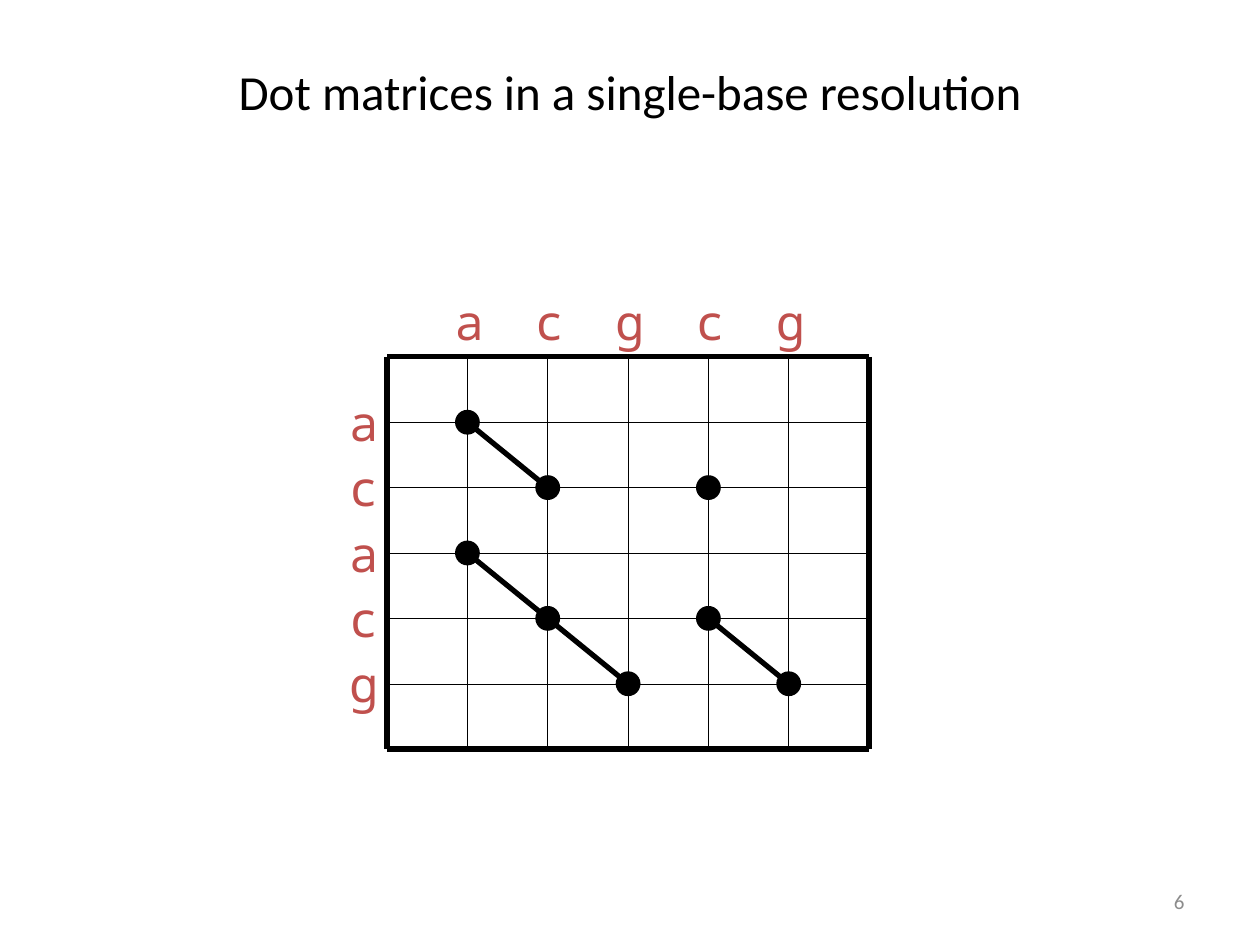
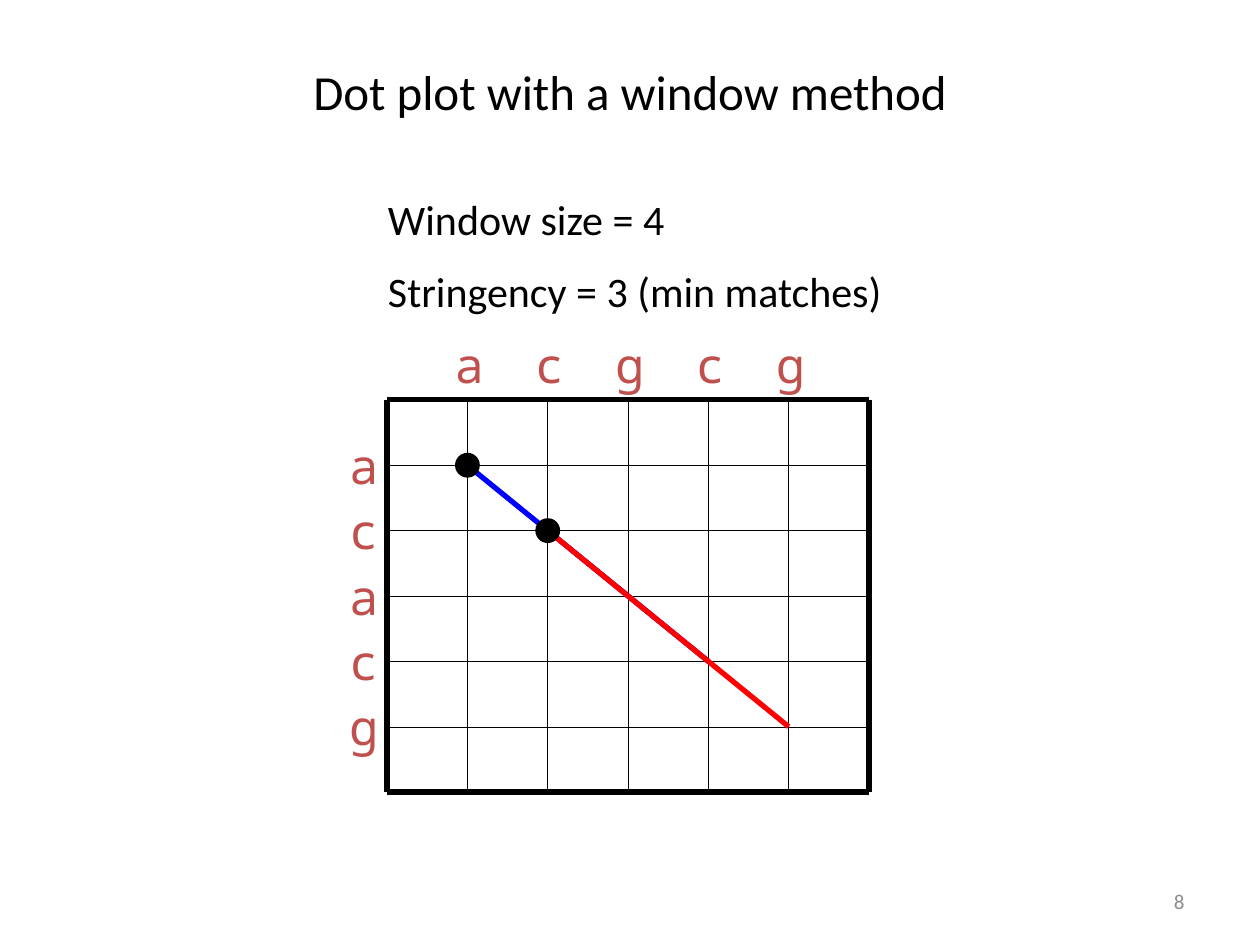
"""Build two slides that compare short DNA sequences in dot matrices."""
from lxml.etree import SubElement
from pptx import Presentation
from pptx.dml.color import RGBColor
from pptx.enum.dml import MSO_LINE
from pptx.enum.shapes import MSO_CONNECTOR, MSO_SHAPE
from pptx.enum.text import MSO_ANCHOR, PP_ALIGN
from pptx.oxml.ns import qn
from pptx.util import Pt

COLORS = {"ink": "000000", "base": "C0504D", "number": "8C8C8C",
          "first": "0000FF", "second": "FF0000"}
TEXT_FONT, BASE_FONT = "Calibri", "Noto Sans Mono"

ACROSS, DOWN = "acgcg", "acacg"
MATCHES = [(column, row)
           for row, down in enumerate(DOWN, 1)
           for column, across in enumerate(ACROSS, 1) if across == down]

SLIDES = [
    {"title": "Dot matrices in a single-base resolution",
     "number": "6", "matrix_top": 203.9, "settings": [],
     "diagonals": [((1, 1), (2, 2), "ink"), ((1, 3), (3, 5), "ink"),
                   ((4, 4), (5, 5), "ink")],
     "dots": MATCHES},
    {"title": "Dot plot with a window method",
     "number": "8", "matrix_top": 228.5,
     "settings": ["Window size = 4", "Stringency = 3 (min matches)"],
     "diagonals": [((1, 1), (4, 4), "first"), ((2, 2), (5, 5), "second")],
     "dots": [(1, 1), (2, 2)]},
]

MATRIX_LEFT, COLUMN_STEP, ROW_STEP = 221.2, 45.9, 37.36
LABEL_WIDTH, LABEL_HEIGHT = 31.7, 41
DOT = 14.2


def rgb(name):
    return RGBColor.from_string(COLORS[name])


def write(shape, *lines, size=28, font=TEXT_FONT, color="ink",
          align=PP_ALIGN.LEFT, anchor=MSO_ANCHOR.TOP, before=0):
    frame = shape.text_frame
    frame.word_wrap = True
    frame.vertical_anchor = anchor
    frame.text = "\n".join(lines)
    for paragraph in frame.paragraphs:
        paragraph.alignment = align
        paragraph.space_before = Pt(before)
        run_font = paragraph.runs[0].font
        run_font.size, run_font.name = Pt(size), font
        run_font.color.rgb = rgb(color)


def add_text(slide, left, top, width, height, *lines, **style):
    box = slide.shapes.add_textbox(Pt(left), Pt(top), Pt(width), Pt(height))
    write(box, *lines, **style)


def add_line(slide, start, end, color="ink", width=3, dash=None):
    line = slide.shapes.add_connector(
        MSO_CONNECTOR.STRAIGHT, *map(Pt, (*start, *end)))
    line.line.color.rgb = rgb(color)
    line.line.width = Pt(width)
    if dash:
        line.line.dash_style = dash
    SubElement(line._element.spPr, qn("a:effectLst"))


def add_dot(slide, center):
    x, y = center
    dot = slide.shapes.add_shape(
        MSO_SHAPE.OVAL, Pt(x - DOT / 2), Pt(y - DOT / 2), Pt(DOT), Pt(DOT))
    dot.shadow.inherit = False
    dot.fill.solid()
    dot.fill.fore_color.rgb = rgb("ink")
    dot.line.fill.background()


def add_matrix(slide, top, diagonals, dots):
    columns, rows = len(ACROSS) + 1, len(DOWN) + 1

    def place(column, row):
        return MATRIX_LEFT + column * COLUMN_STEP, top + row * ROW_STEP

    def rule(index, last):
        if index in (0, last):
            return {"width": 3}
        return {"width": 0.25, "dash": MSO_LINE.ROUND_DOT}

    for row in range(rows + 1):
        add_line(slide, place(0, row), place(columns, row), **rule(row, rows))
    for column in range(columns + 1):
        add_line(slide, place(column, 0), place(column, rows),
                 **rule(column, columns))

    label_spots = [(base, place(column, 0)[0] - 14.4, top - 40.7)
                   for column, base in enumerate(ACROSS, 1)]
    label_spots += [(base, MATRIX_LEFT - 28.8, place(0, row)[1] - 20.6)
                    for row, base in enumerate(DOWN, 1)]
    for base, left, label_top in label_spots:
        add_text(slide, left, label_top, LABEL_WIDTH, LABEL_HEIGHT, base,
                 font=BASE_FONT, color="base")

    for start, end, color in diagonals:
        add_line(slide, place(*start), place(*end), color)
    for dot in dots:
        add_dot(slide, place(*dot))


def add_slide(deck, content):
    slide = deck.slides.add_slide(deck.slide_layouts[5])
    title = slide.shapes.title
    title.left, title.top, title.width, title.height = map(
        Pt, (36, 21.6, 648, 61.2))
    write(title, content["title"], align=PP_ALIGN.CENTER,
          anchor=MSO_ANCHOR.MIDDLE)
    add_text(slide, 516, 500.5, 168, 28.75, content["number"], size=12,
             color="number", align=PP_ALIGN.RIGHT, anchor=MSO_ANCHOR.MIDDLE)
    add_matrix(slide, content["matrix_top"], content["diagonals"],
               content["dots"])
    if content["settings"]:
        add_text(slide, 214.6, 107.3, 346.3, 80, *content["settings"],
                 size=24, before=12)


def main():
    deck = Presentation()
    deck.slide_width, deck.slide_height = Pt(720), Pt(540)
    for content in SLIDES:
        add_slide(deck, content)
    deck.save("out.pptx")


if __name__ == "__main__":
    main()
